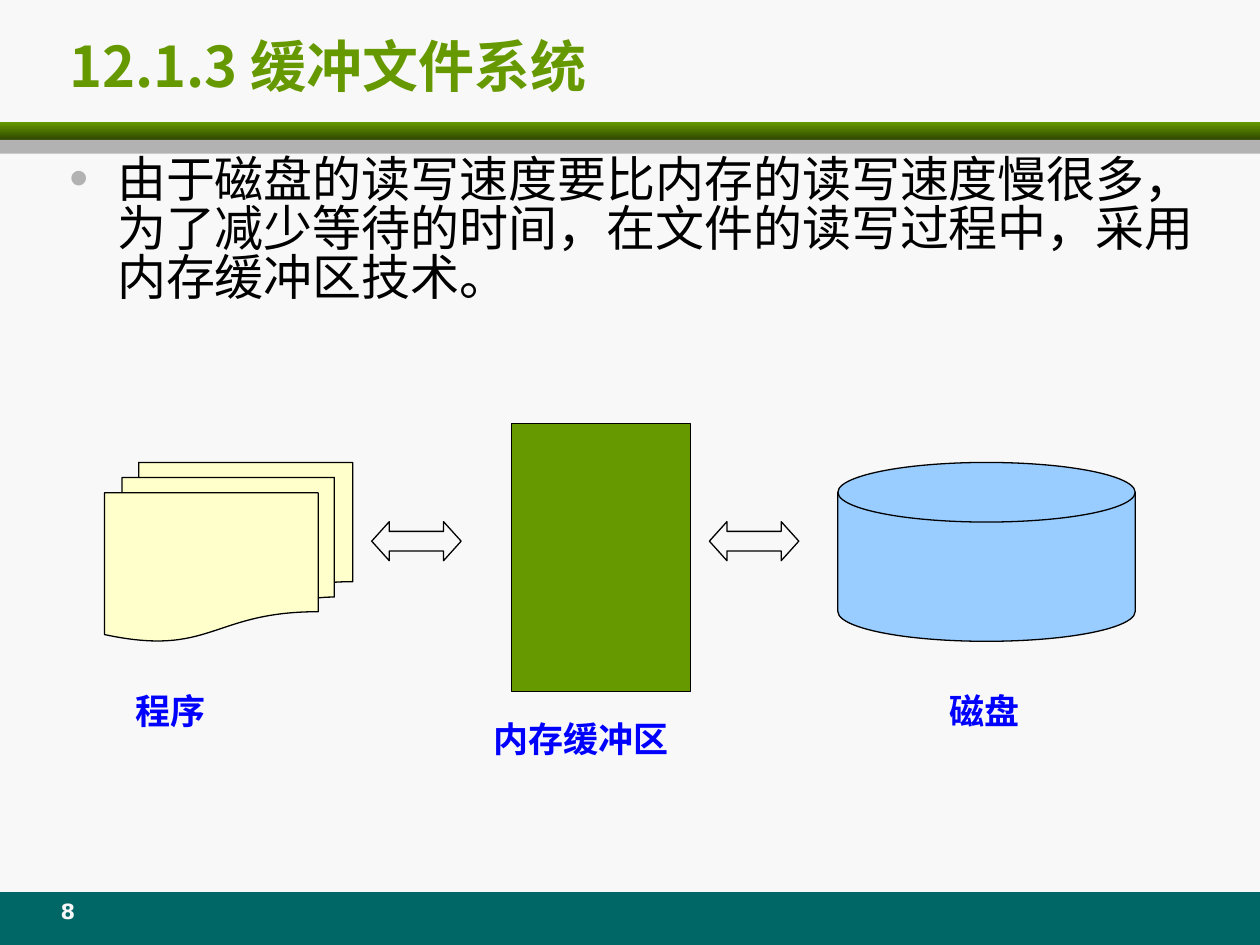
from dataclasses import dataclass
from typing import Optional

from lxml.etree import SubElement
from pptx import Presentation
from pptx.dml.color import RGBColor
from pptx.enum.shapes import MSO_SHAPE
from pptx.enum.text import MSO_ANCHOR, PP_ALIGN
from pptx.oxml.ns import qn
from pptx.util import Inches, Pt

COLS, ROWS = 100, 75
WIDE, HIGH = Inches(10), Inches(7.5)
HUES = {
    "back": "F8F8F8", "teal": "006666", "green": "669900", "dark": "2F4700",
    "gray": "B2B2B2", "black": "000000", "blue": "0000FF",
    "sky": "99CCFF", "cream": "FFFFCC",
}
SANS = "Noto Sans CJK SC"
FORMS = {
    "title": {"name": "Noto Sans CJK JP", "size": Pt(32), "bold": True, "hue": "green"},
    "body": {"name": SANS, "size": Pt(28), "bold": False, "hue": "black"},
    "label": {"name": SANS, "size": Pt(20), "bold": True, "hue": "blue"},
    "page": {"name": "DejaVu Sans", "size": Pt(12), "bold": True, "hue": "back"},
}


@dataclass
class Area:
    col: float
    row: float
    cols: float
    rows: float

    def box(self) -> tuple:
        return (int(WIDE * self.col / COLS), int(HIGH * self.row / ROWS),
                int(WIDE * self.cols / COLS), int(HIGH * self.rows / ROWS))


@dataclass
class Part:
    kind: MSO_SHAPE
    area: Area
    fill: Optional[str] = None
    edge: bool = True
    fade: Optional[str] = None
    bends: tuple = ()


@dataclass
class Label:
    text: str
    area: Area
    form: str = "label"
    align: PP_ALIGN = PP_ALIGN.LEFT
    space: float = 0.83


def tint(name: str) -> RGBColor:
    return RGBColor.from_string(HUES[name])


def draw(slide, part: Part) -> None:
    shape = slide.shapes.add_shape(part.kind, *part.area.box())
    shape.shadow.inherit = False
    for spot, bend in enumerate(part.bends):
        shape.adjustments[spot] = bend
    if part.fade:
        shape.fill.gradient()
        shape.fill.gradient_angle = 270
        for stop, name, place in zip(shape.fill.gradient_stops, (part.fill, part.fade), (0, 1)):
            stop.color.rgb = tint(name)
            stop.position = place
    elif part.fill:
        shape.fill.solid()
        shape.fill.fore_color.rgb = tint(part.fill)
    else:
        shape.fill.background()
    if part.edge:
        shape.line.color.rgb = tint("black")
        shape.line.width = Pt(0.75)
    else:
        shape.line.fill.background()


def write(shape, text: str, form: str, anchor=MSO_ANCHOR.TOP,
          align=PP_ALIGN.LEFT, space: float = 0.83):
    frame = shape.text_frame
    marks = {"word_wrap": True, "vertical_anchor": anchor,
             "margin_left": Inches(0.1), "margin_right": Inches(0.1),
             "margin_top": Inches(0.05), "margin_bottom": Inches(0.05)}
    for key, value in marks.items():
        setattr(frame, key, value)
    para = frame.paragraphs[0]
    for key, value in {"alignment": align, "line_spacing": space,
                       "space_before": Pt(0)}.items():
        setattr(para, key, value)
    run = para.add_run()
    run.text = text
    for key, value in FORMS[form].items():
        if key == "hue":
            run.font.color.rgb = tint(value)
        else:
            setattr(run.font, key, value)
    face = SubElement(run.font._element, qn("a:ea"))
    face.set("typeface", FORMS[form]["name"])
    return para


def place(shape, area: Area) -> None:
    for key, value in zip(("left", "top", "width", "height"), area.box()):
        setattr(shape, key, value)


def dot(para) -> None:
    props = para._p.get_or_add_pPr()
    props.set("marL", str(Inches(0.38)))
    props.set("indent", str(-Inches(0.38)))
    color = SubElement(props, qn("a:buClr"))
    SubElement(color, qn("a:srgbClr")).set("val", HUES["gray"])
    SubElement(props, qn("a:buSzPct")).set("val", "110000")
    SubElement(props, qn("a:buChar")).set("char", "•")


def main() -> None:
    deck = Presentation()
    deck.slide_width, deck.slide_height = WIDE, HIGH
    slide = deck.slides.add_slide(deck.slide_layouts[1])
    slide.background.fill.solid()
    slide.background.fill.fore_color.rgb = tint("back")

    rect = MSO_SHAPE.RECTANGLE
    bars = [
        Part(rect, Area(0, 70.8, COLS, 4.2), "teal", False),
        Part(rect, Area(0, 9.7, COLS, 1.4), "green", False, "dark"),
        Part(rect, Area(0, 11.1, COLS, 1.1), "gray", False),
    ]
    flow = [
        Part(MSO_SHAPE.FLOWCHART_MAGNETIC_DISK, Area(66.5, 36.7, 23.6, 14.2), "sky"),
        Part(MSO_SHAPE.FLOWCHART_MULTIDOCUMENT, Area(8.3, 36.7, 19.7, 14.2), "cream"),
        Part(MSO_SHAPE.FLOWCHART_PROCESS, Area(40.6, 33.6, 14.2, 21.3), "green"),
    ]
    links = [Part(MSO_SHAPE.LEFT_RIGHT_ARROW, Area(col, 41.4, 7.1, 3.1), bends=(0.5, 0.45))
             for col in (29.5, 56.3)]
    for part in bars + flow + links:
        draw(slide, part)

    title, body = slide.placeholders
    place(title, Area(4.5, 2.3, 93.5, 6.7))
    write(title, "12.1.3 缓冲文件系统", "title", MSO_ANCHOR.MIDDLE)
    place(body, Area(4.5, 12.1, 93.5, 57.8))
    dot(write(body, "由于磁盘的读写速度要比内存的读写速度慢很多，"
              "为了减少等待的时间，在文件的读写过程中，采用内存缓冲区技术。", "body"))

    labels = [
        Label("程序", Area(9.8, 54.8, 8.7, 4.4)),
        Label("内存缓冲区", Area(38.2, 57, 19.7, 4.4)),
        Label("磁盘", Area(74.4, 54.8, 8.7, 4.4)),
        Label("8", Area(2.5, 70.8, 5.8, 3.3), "page", PP_ALIGN.CENTER, 1.0),
    ]
    for label in labels:
        box = slide.shapes.add_textbox(*label.area.box())
        write(box, label.text, label.form, align=label.align, space=label.space)

    deck.save("out.pptx")


if __name__ == "__main__":
    main()
